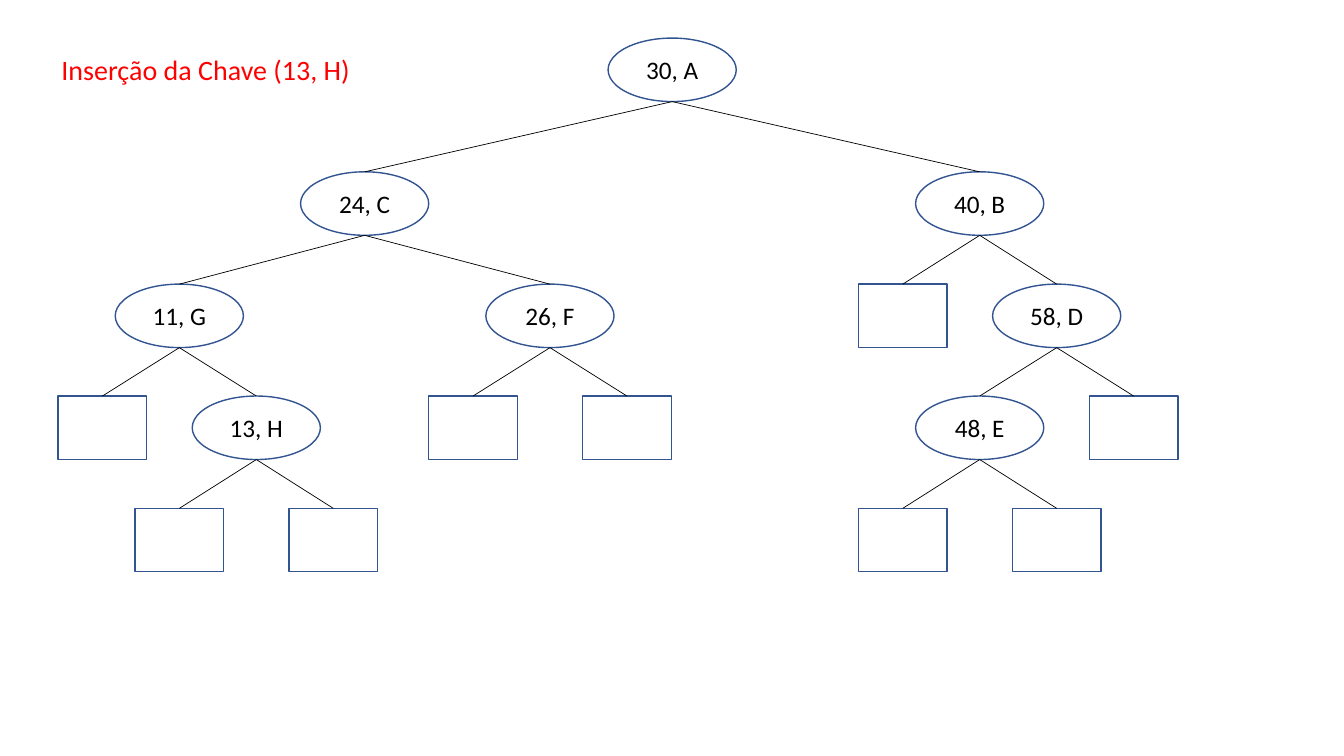
from dataclasses import dataclass
from typing import Optional

from pptx import Presentation
from pptx.dml.color import RGBColor
from pptx.enum import shapes, text
from pptx.oxml.ns import qn
from pptx.util import Cm, Pt

WHITE = RGBColor(0xFF, 0xFF, 0xFF)
BLACK = RGBColor(0, 0, 0)
RED = RGBColor(0xFF, 0, 0)
BLUE = RGBColor(0x32, 0x54, 0x91)

KEY_WIDTH, LEAF_WIDTH, NODE_HEIGHT = Cm(3.23), Cm(2.24), Cm(1.6)
LEVEL_TOPS = [Cm(0), Cm(3.37), Cm(6.2), Cm(9.02), Cm(11.85)]


@dataclass
class Key:
    """A tree entry; a missing child is drawn as an empty leaf."""
    label: str
    left: Optional["Key"] = None
    right: Optional["Key"] = None
    spread: int = Cm(1.94)  # sideways distance to each child


TREE = Key(
    "30, A",
    Key("24, C", Key("11, G", right=Key("13, H")), Key("26, F"), Cm(4.67)),
    Key("40, B", right=Key("58, D", left=Key("48, E"))),
    Cm(7.75),
)


def write(frame, words, size=18, color=BLACK, align=text.PP_ALIGN.CENTER,
          anchor=text.MSO_ANCHOR.MIDDLE, wrap=True):
    frame.word_wrap = wrap
    frame.vertical_anchor = anchor
    paragraph = frame.paragraphs[0]
    paragraph.alignment = align
    run = paragraph.add_run()
    run.text = words
    run.font.name, run.font.size = "Calibri", Pt(size)
    run.font.color.rgb = color


def add_node(slide, key, center, top):
    kind, width = ((shapes.MSO_SHAPE.OVAL, KEY_WIDTH) if key
                   else (shapes.MSO_SHAPE.RECTANGLE, LEAF_WIDTH))
    node = slide.shapes.add_shape(kind, center - width // 2, top, width, NODE_HEIGHT)
    node.shadow.inherit = False
    node.line.color.rgb = BLUE
    node.line.width = Pt(1)
    if key:
        node.fill.solid()
        node.fill.fore_color.rgb = WHITE
        write(node.text_frame, key.label)
    else:
        node.fill.background()
    return node


def add_branch(slide, x, y, child):
    branch = slide.shapes.add_connector(shapes.MSO_CONNECTOR.STRAIGHT, x, y, x, y)
    branch.end_connect(child, 0)
    branch.line.color.rgb = BLACK
    branch.line.width = Pt(0.5)
    properties = branch._element.spPr
    properties.append(properties.makeelement(qn("a:effectLst"), {}))


def draw_tree(slide, key, center, top, level=0):
    """Draw the subtree centred on a point; top is that of the whole tree."""
    node_top = top + LEVEL_TOPS[level]
    node = add_node(slide, key, center, node_top)
    if key:
        for child, side in ((key.left, -1), (key.right, 1)):
            child_node = draw_tree(slide, child, center + side * key.spread, top, level + 1)
            add_branch(slide, center, node_top + NODE_HEIGHT, child_node)
    return node


def draw_title(slide, left, top, width, height):
    title = slide.shapes.add_textbox(left, top, width, height)
    write(title.text_frame, "Inserção da Chave (13, H)", size=20, color=RED,
          align=text.PP_ALIGN.LEFT, anchor=text.MSO_ANCHOR.TOP, wrap=False)


def main():
    deck = Presentation()
    deck.slide_width, deck.slide_height = Cm(33.87), Cm(19.05)
    slide = deck.slides.add_slide(deck.slide_layouts[6])

    # Binary search tree
    draw_tree(slide, TREE, center=Cm(16.94), top=Cm(0.96))

    # Title
    draw_title(slide, Cm(1.3), Cm(1.2), Cm(7.87), Cm(1.11))

    deck.save("out.pptx")


if __name__ == "__main__":
    main()
